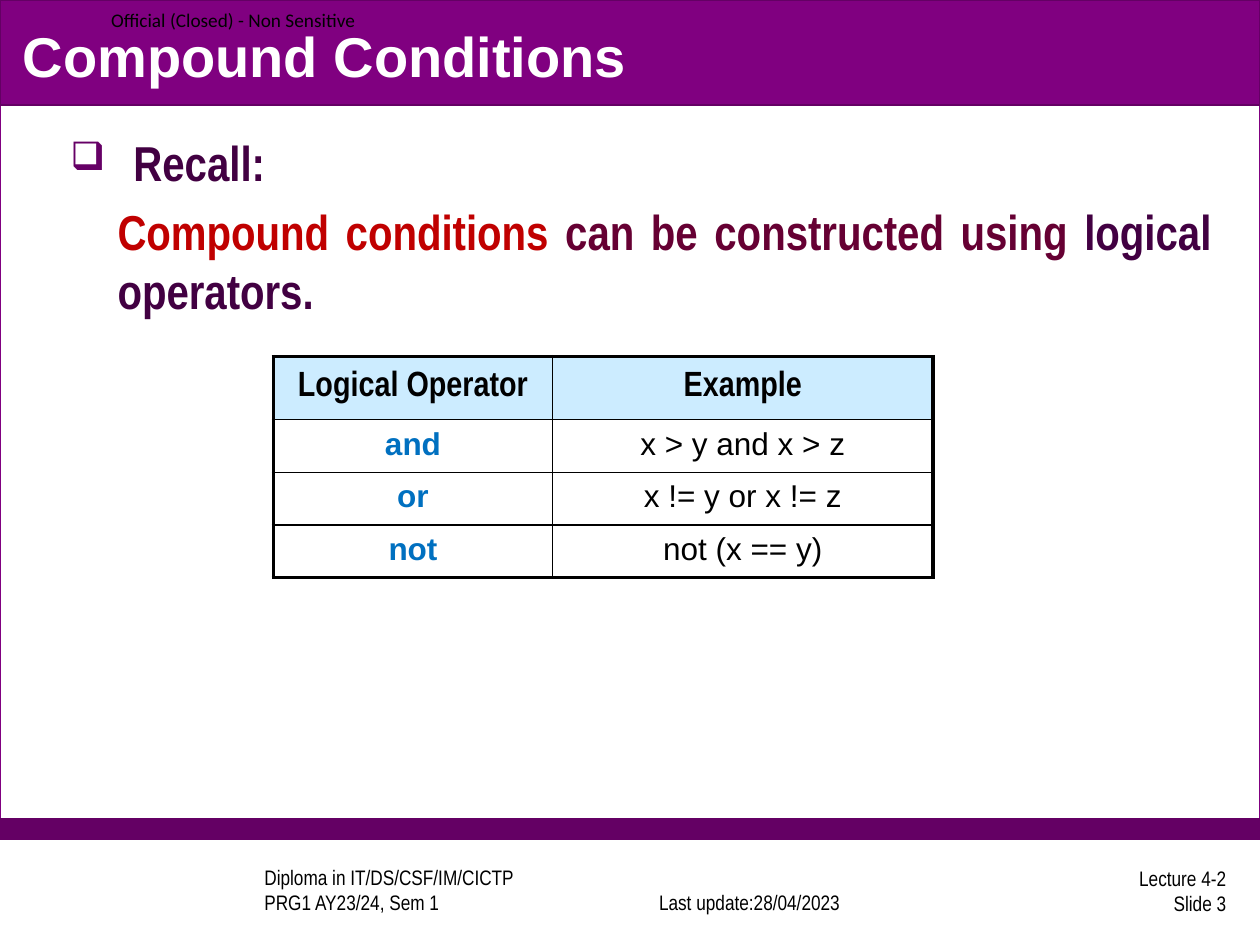
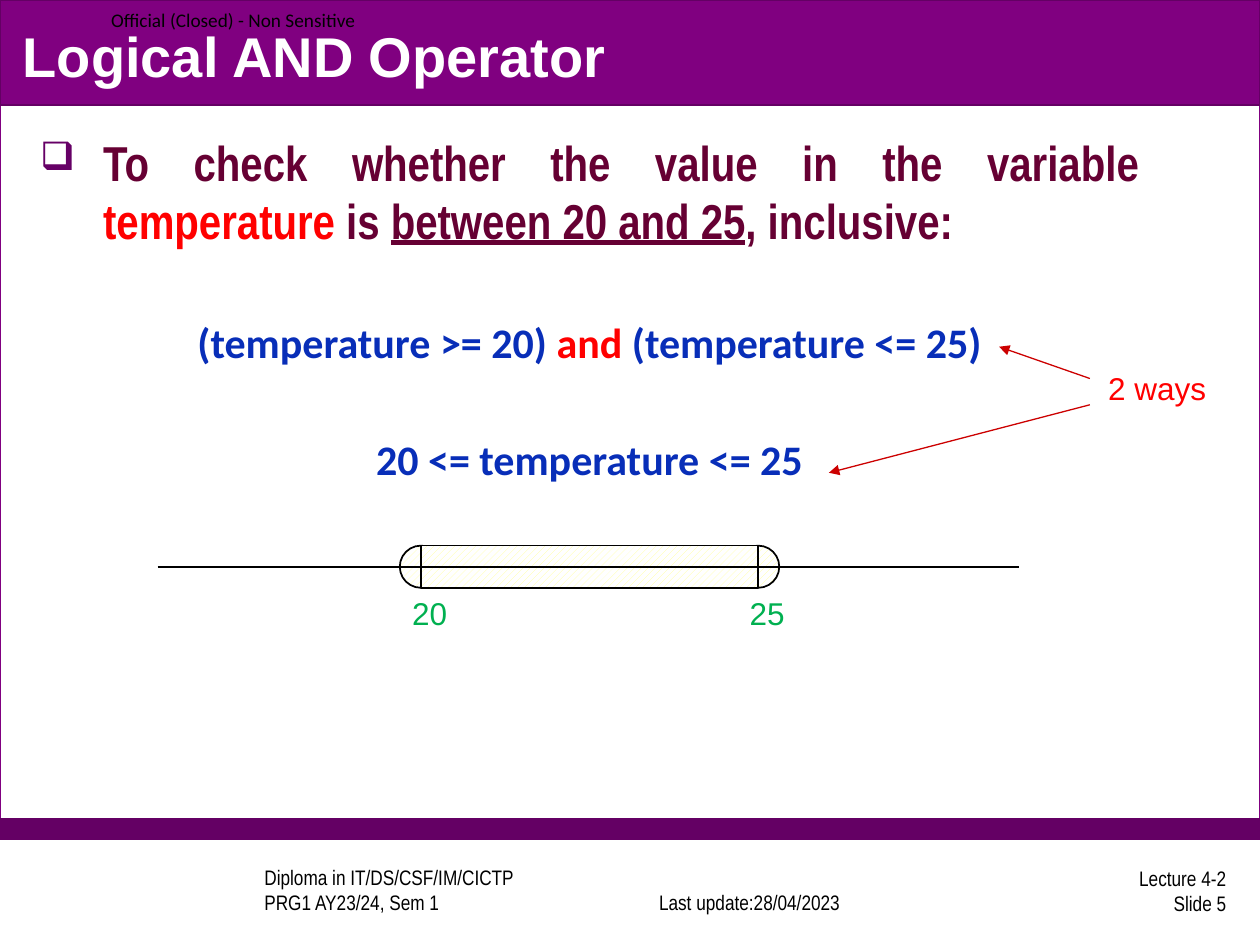
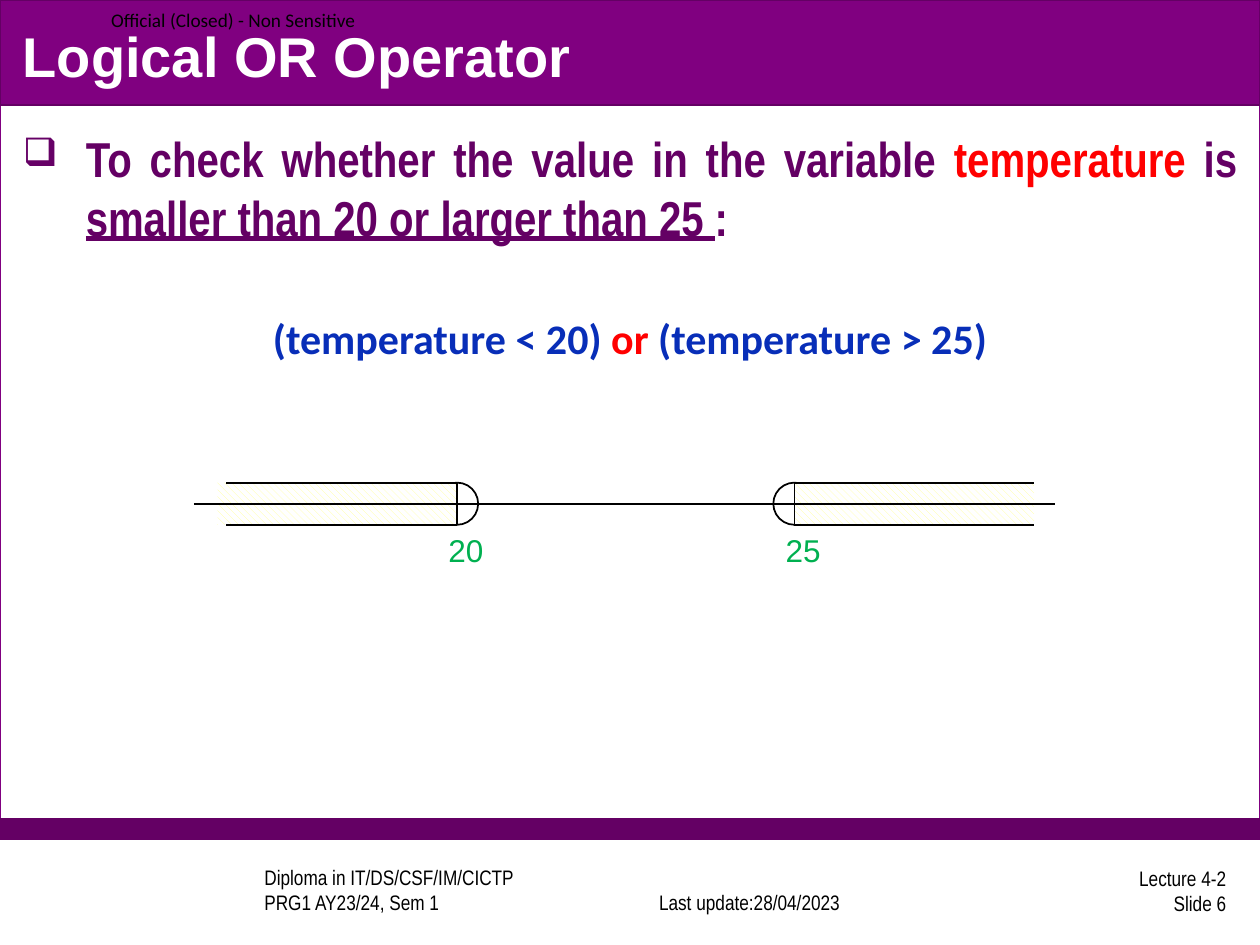
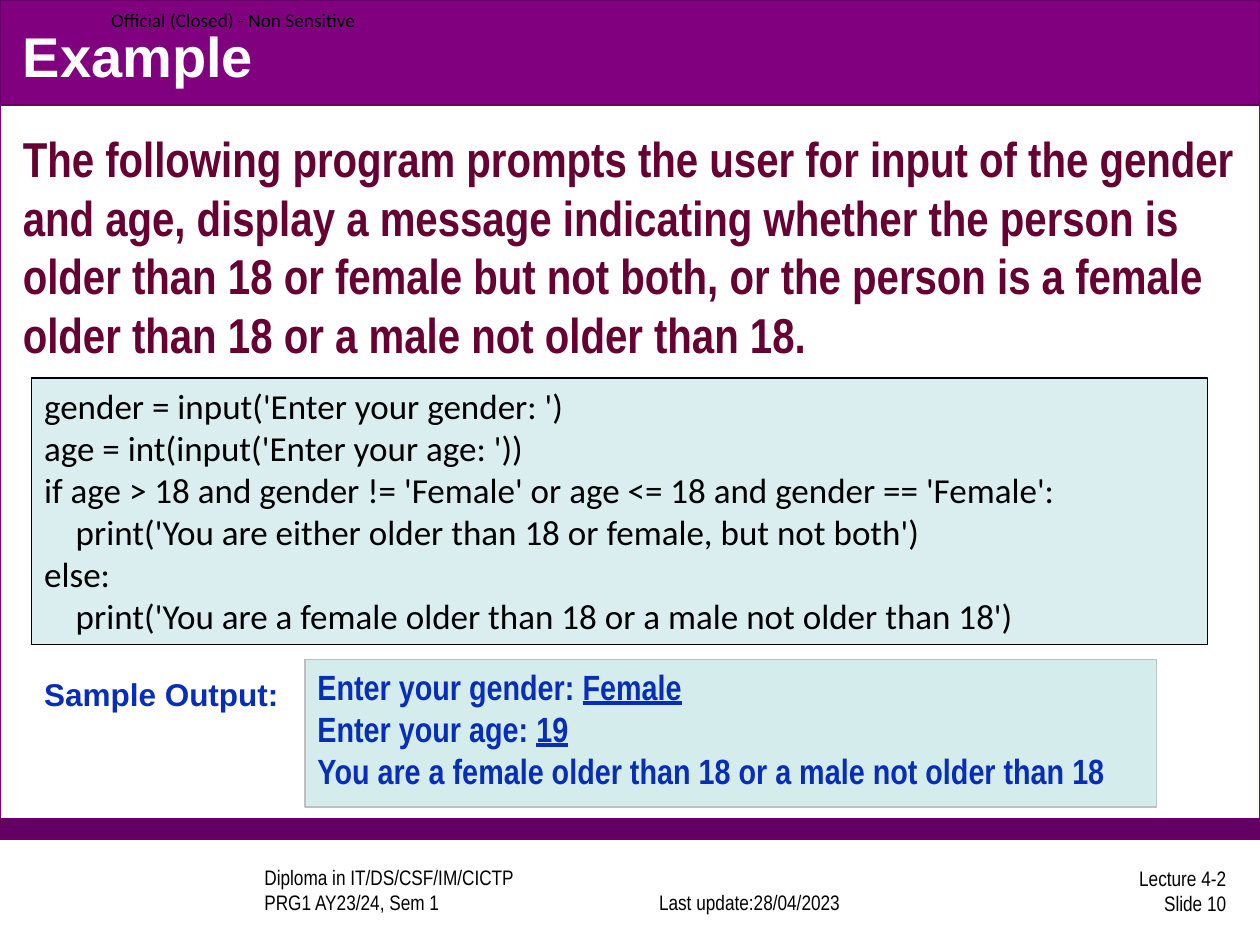
from lxml import etree
from pptx import Presentation
from pptx.dml.color import RGBColor
from pptx.enum.dml import MSO_PATTERN
from pptx.enum.shapes import MSO_CONNECTOR, MSO_SHAPE
from pptx.enum.text import MSO_ANCHOR, PP_ALIGN
from pptx.oxml.ns import qn
from pptx.util import Cm, Pt

RECT, OVAL = MSO_SHAPE.RECTANGLE, MSO_SHAPE.OVAL
STRAIGHT = MSO_CONNECTOR.STRAIGHT
TOP, MIDDLE, BOTTOM = MSO_ANCHOR.TOP, MSO_ANCHOR.MIDDLE, MSO_ANCHOR.BOTTOM
LEFT, CENTER, RIGHT, JUSTIFY = PP_ALIGN.LEFT, PP_ALIGN.CENTER, PP_ALIGN.RIGHT, PP_ALIGN.JUSTIFY
UP_STRIPES = MSO_PATTERN.WIDE_UPWARD_DIAGONAL
DOWN_STRIPES = MSO_PATTERN.WIDE_DOWNWARD_DIAGONAL

SANS, NARROW, CALIBRI = "Arial", "Arial Narrow", "Calibri"
BLACK, WHITE = "000000", "FFFFFF"
PURPLE, DEEP_PURPLE, BULLET_PURPLE = "800080", "640064", "660066"
PLUM, MAROON = "420042", "660033"
RED, DARK_RED, ARROW_RED = "FF0000", "C00000", "CC0000"
BLUE, OPERATOR_BLUE, GREEN = "082EB8", "0070C0", "00B050"
PALE_BLUE, CODE_TEAL, OUTPUT_TEAL = "CCECFF", "DAEDEF", "BBE0E3"
GRAY, YELLOW = "BFBFBF", "FFFF99"

SLIDE_WIDTH, SLIDE_HEIGHT = 25.4, 19.05
WIDE_BODY = (0.21, 2.46, 24.98, 13.84)
EXPRESSION_GAP = 38
CAP, CAP_LEFTS = 0.85, (4.88, 11.68)


def rgb(color):
    return RGBColor.from_string(color)


def add_shape(slide, kind, box, fill=None, line=None, width=0.75, alpha=None, stripes=None):
    shape = slide.shapes.add_shape(kind, *map(Cm, box))
    shape.shadow.inherit = False
    if stripes:
        shape.fill.patterned()
        shape.fill.pattern = stripes
        shape.fill.fore_color.rgb = rgb(YELLOW)
        shape.fill.back_color.rgb = rgb(WHITE)
    elif fill:
        shape.fill.solid()
        shape.fill.fore_color.rgb = rgb(fill)
    else:
        shape.fill.background()
    if alpha:
        tint = shape.fill._xPr.find(qn("a:solidFill"))[0]
        etree.SubElement(tint, qn("a:alpha"), val=str(alpha * 1000))
    if line:
        shape.line.color.rgb = rgb(line)
        shape.line.width = Pt(width)
    else:
        shape.line.fill.background()
    return shape


def add_line(slide, start, end, color=BLACK, width=1, arrow=False):
    connector = slide.shapes.add_connector(STRAIGHT, *map(Cm, start + end))
    connector.line.color.rgb = rgb(color)
    connector.line.width = Pt(width)
    if arrow:
        etree.SubElement(connector.line._get_or_add_ln(), qn("a:tailEnd"), type="triangle")
    etree.SubElement(connector._element.spPr, qn("a:effectLst"))


def add_box(slide, box, anchor=TOP):
    frame = slide.shapes.add_textbox(*map(Cm, box)).text_frame
    frame.word_wrap = True
    frame.vertical_anchor = anchor
    return frame


def write(paragraph, pieces, font, size, bold=False, align=LEFT, before=None):
    paragraph.alignment = align
    if before:
        paragraph.space_before = Pt(before)
    for words, color, *underlined in pieces:
        run = paragraph.add_run()
        run.text = words
        run.font.name = font
        run.font.size = Pt(size)
        run.font.bold = bold
        run.font.underline = bool(underlined)
        run.font.color.rgb = rgb(color)


def write_lines(frame, lines, font, size, bold=False, align=LEFT):
    for index, pieces in enumerate(lines):
        paragraph = frame.add_paragraph() if index else frame.paragraphs[0]
        write(paragraph, pieces, font, size, bold, align)


def add_bullet(paragraph):
    properties = paragraph._p.get_or_add_pPr()
    properties.set("marL", str(Cm(1.27)))
    properties.set("indent", str(-Cm(1.27)))
    tint = etree.SubElement(properties, qn("a:buClr"))
    etree.SubElement(tint, qn("a:srgbClr"), val=BULLET_PURPLE)
    etree.SubElement(properties, qn("a:buSzPct"), val="80000")
    etree.SubElement(properties, qn("a:buChar"), char="❑")


def bullet_body(slide, box, pieces):
    frame = add_box(slide, box)
    point = frame.paragraphs[0]
    add_bullet(point)
    write(point, pieces, NARROW, 28, True, JUSTIFY)
    return frame


def expression(frame, pieces):
    write(frame.add_paragraph(), pieces, CALIBRI, 24, True, CENTER, EXPRESSION_GAP)


def header(slide, box, title):
    left, top, width, height = box
    add_shape(slide, RECT, box, PURPLE, DEEP_PURPLE)
    marking = add_box(slide, (left + 2.24, top, 6, 0.79), MIDDLE)
    marking.margin_left = marking.margin_right = marking.margin_top = marking.margin_bottom = 0
    write_lines(marking, [[("Official (Closed) - Non Sensitive", BLACK)]], CALIBRI, 11)
    heading = add_box(slide, (left + 0.21, top + 0.33, width - 0.42, 1.57), MIDDLE)
    write_lines(heading, [[(title, WHITE)]], SANS, 32, True)


def footer(slide, box, number):
    left, top, width, height = box
    notes = [
        ((5.08, 0.07, 6.78), BOTTOM, LEFT, ["Diploma in IT/DS/CSF/IM/CICTP", "PRG1 AY23/24, Sem 1"]),
        ((12.47, 0.07, 5.28), BOTTOM, CENTER, ["Last update:28/04/2023"]),
        ((19.69, 0, 5.28), MIDDLE, RIGHT, ["Lecture 4-2", f"Slide {number}"]),
    ]
    for (x, y, note_width), anchor, align, lines in notes:
        frame = add_box(slide, (left + x, top + y, note_width, height), anchor)
        write_lines(frame, [[(line, BLACK)] for line in lines], NARROW, 12, align=align)


def new_slide(deck, title, number):
    slide = deck.slides.add_slide(deck.slide_layouts[6])
    add_shape(slide, RECT, (0, 0, SLIDE_WIDTH, 16.93), WHITE, PURPLE, alpha=90)
    add_shape(slide, RECT, (0, 16.51, SLIDE_WIDTH, 0.42), DEEP_PURPLE, DEEP_PURPLE)
    header(slide, (0, 0, SLIDE_WIDTH, 2.12), title)
    footer(slide, (0, 17.43, SLIDE_WIDTH, 1.06), number)
    return slide


def set_borders(cell, widths):
    properties = cell._tc.get_or_add_tcPr()
    for side, width in zip("LRTB", widths):
        border = etree.SubElement(properties, qn(f"a:ln{side}"), w=str(Pt(width)))
        paint = etree.SubElement(border, qn("a:solidFill"))
        etree.SubElement(paint, qn("a:srgbClr"), val=BLACK)


def operator_table(slide, box):
    rows = [
        ("Logical Operator", "Example"),
        ("and", "x > y and x > z"),
        ("or", "x != y or x != z"),
        ("not", "not (x == y)"),
    ]
    table = slide.shapes.add_table(len(rows), 2, *map(Cm, box)).table
    table.first_row = table.horz_banding = False
    for column, width in zip(table.columns, (5.63, 7.67)):
        column.width = Cm(width)
    last = len(rows) - 1
    for r, row in enumerate(rows):
        table.rows[r].height = Cm(1.06 if r else 1.27)
        for c, words in enumerate(row):
            cell = table.cell(r, c)
            outer = (c == 0, c == 1, r == 0, r == last)
            set_borders(cell, [2.25 if edge else 1 for edge in outer])
            cell.fill.solid()
            cell.fill.fore_color.rgb = rgb(WHITE if r else PALE_BLUE)
            cell.vertical_anchor = MIDDLE
            font, size = (SANS, 18) if r else (NARROW, 20)
            color = OPERATOR_BLUE if r and c == 0 else BLACK
            paragraph = cell.text_frame.paragraphs[0]
            paragraph.line_spacing = 0.87
            write(paragraph, [(words, color)], font, size, r == 0 or c == 0, CENTER)


def axis_and_labels(slide, box):
    left, top, width, height = box
    middle = top + height / 2
    add_line(slide, (left, middle), (left + width, middle))
    for x, value in zip(CAP_LEFTS, ("20", "25")):
        label = add_box(slide, (left + x, top + height, 1.5, 1.02))
        write_lines(label, [[(value, GREEN)]], SANS, 18)


def inside_range(slide, box):
    left, top, width, height = box
    for x in CAP_LEFTS:
        add_shape(slide, OVAL, (left + x, top, CAP, height), line=BLACK, width=1, stripes=UP_STRIPES)
    span = (left + CAP_LEFTS[0] + CAP / 2, top, CAP_LEFTS[1] - CAP_LEFTS[0], height)
    add_shape(slide, RECT, span, line=BLACK, width=1, stripes=UP_STRIPES)
    axis_and_labels(slide, box)


def outside_range(slide, box):
    left, top, width, height = box
    bottom = top + height
    for x, direction in zip(CAP_LEFTS, (-1, 1)):
        add_shape(slide, OVAL, (left + x, top, CAP, height), line=BLACK, width=1)
        limit = left + x + CAP / 2
        start = limit - 4.83 if direction < 0 else limit
        add_shape(slide, RECT, (start, top, 4.83, height), stripes=DOWN_STRIPES)
        far = limit + direction * (4.66 if direction < 0 else 4.83)
        for y in (top, bottom):
            add_line(slide, (limit, y), (far, y))
        add_line(slide, (limit, top), (limit, bottom))
    axis_and_labels(slide, box)


def two_ways(slide, box):
    left, top, width, height = box
    tail = left + 5.26
    add_line(slide, (tail, top + 0.64), (left + 3.43, top), ARROW_RED, 0.75, True)
    add_line(slide, (tail, top + 1.17), (left, top + height), ARROW_RED, 0.75, True)
    label = add_box(slide, (left + 5.38, top + 0.33, width - 5.38, 1.02))
    write_lines(label, [[("2 ways", RED)]], SANS, 18)


def program_listing(slide, box):
    code = [
        "gender = input('Enter your gender: ')",
        "age = int(input('Enter your age: '))",
        "if age > 18 and gender != 'Female' or age <= 18 and gender == 'Female':",
        "    print('You are either older than 18 or female, but not both')",
        "else:",
        "    print('You are a female older than 18 or a male not older than 18')",
    ]
    frame = add_shape(slide, RECT, box, CODE_TEAL, BLACK).text_frame
    frame.word_wrap = True
    frame.vertical_anchor = TOP
    write_lines(frame, [[(line, BLACK)] for line in code], CALIBRI, 20)


def sample_output(slide, box):
    left, top, width, height = box
    lines = [
        [("Enter your gender: ", BLUE), ("Female", BLUE, True)],
        [("Enter your age: ", BLUE), ("19", BLUE, True)],
        [("You are a female older than 18 or a male not older than 18", BLUE)],
    ]
    console = (left + 5.51, top, width - 5.51, height)
    frame = add_shape(slide, RECT, console, OUTPUT_TEAL, GRAY, alpha=61).text_frame
    frame.word_wrap = True
    frame.vertical_anchor = TOP
    write_lines(frame, lines, NARROW, 20, True)
    label = add_box(slide, (left, top + 0.18, 5.51, 1.02))
    write_lines(label, [[("Sample Output:", BLUE)]], SANS, 18, True)


def compound_conditions(deck):
    slide = new_slide(deck, "Compound Conditions", 3)
    frame = bullet_body(slide, (1.17, 2.54, 23.5, 6), [("Recall:", PLUM)])
    rule = frame.add_paragraph()
    rule._p.get_or_add_pPr().set("marL", str(Cm(0.95)))
    write(rule, [
        ("Compound conditions", DARK_RED),
        (" can be constructed using ", MAROON),
        ("logical operators.", PLUM),
    ], NARROW, 28, True, JUSTIFY, 6)
    operator_table(slide, (5.51, 7.19, 13.3, 4.45))


def logical_and(deck):
    slide = new_slide(deck, "Logical AND Operator", 5)
    frame = bullet_body(slide, (0.56, 2.54, 22.65, 14.4), [
        ("To check whether the value in the variable ", MAROON),
        ("temperature", RED),
        (" is ", MAROON),
        ("between 20 and 25", MAROON, True),
        (", inclusive:", MAROON),
    ])
    expression(frame, [("(temperature >= 20) ", BLUE), ("and ", RED), ("(temperature <= 25)", BLUE)])
    expression(frame, [("20 <= temperature <= 25", BLUE)])
    inside_range(slide, (3.18, 11, 17.36, CAP))
    two_ways(slide, (16.71, 6.99, 8.13, 2.54))


def logical_or(deck):
    slide = new_slide(deck, "Logical OR Operator", 6)
    frame = bullet_body(slide, WIDE_BODY, [
        ("To check whether the value in the variable ", DEEP_PURPLE),
        ("temperature", RED),
        (" is ", DEEP_PURPLE),
        ("smaller than 20 or larger than 25 ", DEEP_PURPLE, True),
        (":", DEEP_PURPLE),
    ])
    expression(frame, [("(temperature < 20) ", BLUE), ("or ", RED), ("(temperature > 25)", BLUE)])
    outside_range(slide, (3.91, 9.73, 17.36, CAP))


def example(deck):
    slide = new_slide(deck, "Example", 10)
    task = (
        "The following program prompts the user for input of the gender and age, "
        "display a message indicating whether the person is older than 18 or female "
        "but not both, or the person is a female older than 18 or a male not older than 18."
    )
    write_lines(add_box(slide, WIDE_BODY), [[(task, MAROON)]], NARROW, 28, True)
    program_listing(slide, (0.64, 7.62, 23.7, 5.38))
    sample_output(slide, (0.64, 13.3, 22.68, 2.97))


def main():
    deck = Presentation()
    deck.slide_width = Cm(SLIDE_WIDTH)
    deck.slide_height = Cm(SLIDE_HEIGHT)
    for build in (compound_conditions, logical_and, logical_or, example):
        build(deck)
    deck.save("out.pptx")


if __name__ == "__main__":
    main()
